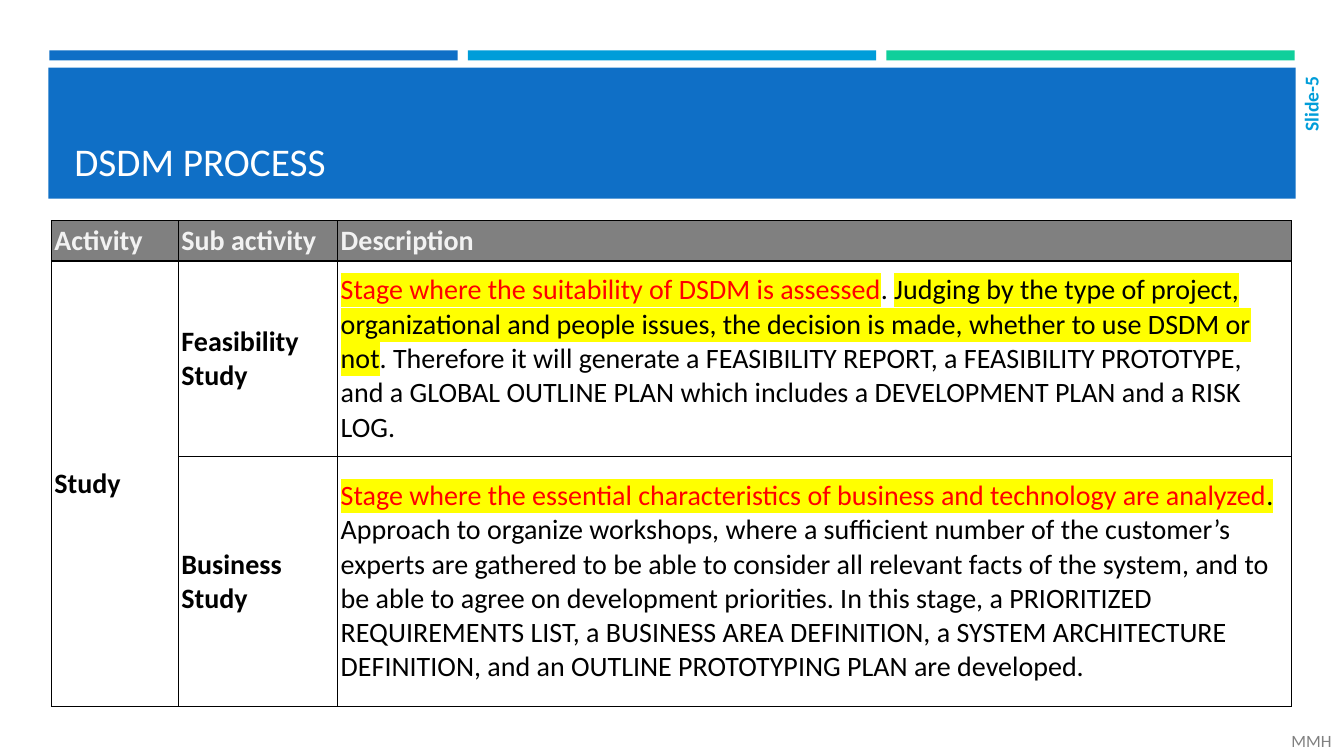
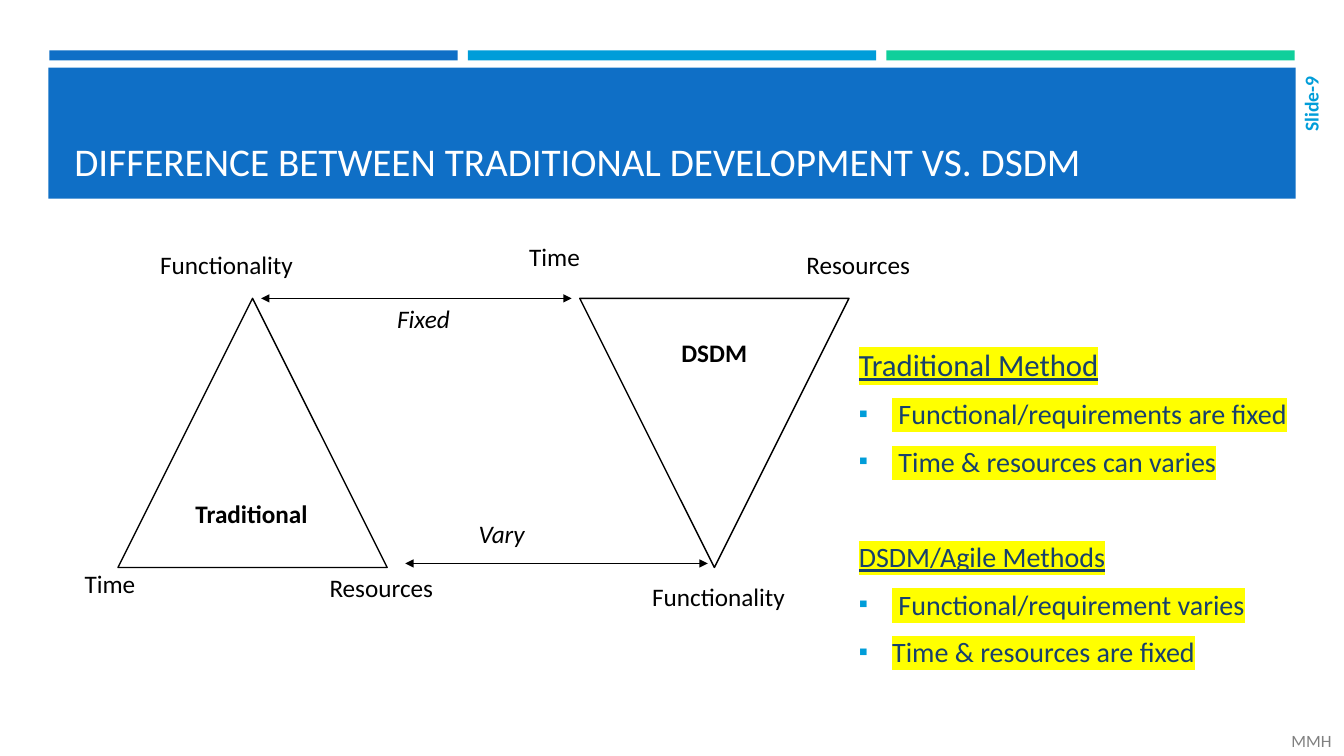
from lxml import etree
from pptx import Presentation
from pptx import util as u
from pptx.dml.color import RGBColor
from pptx.enum import shapes, text
from pptx.oxml import ns

PX = u.Inches(1) // 100
FONT = "Calibri"

BLUE = RGBColor(0x0F, 0x6F, 0xC6)
SKY = RGBColor(0x00, 0x9D, 0xD9)
GREEN = RGBColor(0x10, 0xCF, 0x9B)
NAVY = RGBColor(0x17, 0x40, 0x6D)
WHITE = RGBColor(0xFF, 0xFF, 0xFF)
PALE = RGBColor(0xF2, 0xF2, 0xF2)
GRAY = RGBColor(0x80, 0x80, 0x80)
BLACK = RGBColor(0x00, 0x00, 0x00)
RED = RGBColor(0xFF, 0x00, 0x00)
YELLOW = RGBColor(0xFF, 0xFF, 0x00)

BOLD = {"bold": True}
ITALIC = {"italic": True}
HEAD = {"bold": True, "color": PALE}
PLAIN = {}
MARKED = {"mark": YELLOW}
KEY = {"mark": YELLOW, "color": RED}

FOOTER = "MMH"
STRIPES = [BLUE, SKY, GREEN]

# Each cell is a list of (text, style) runs; None continues the cell above.
TABLE_LEFT, TABLE_TOP = 51, 219
COLUMNS = [126, 158, 946]
ROWS = [40, 194, 248]
PROCESS = [
    [[("Activity", HEAD)], [("Sub activity", HEAD)], [("Description", HEAD)]],
    [
        [("Study", BOLD)],
        [("Feasibility Study", BOLD)],
        [
            ("Stage where the suitability of DSDM is assessed", KEY),
            (". ", PLAIN),
            ("Judging by the type of project, organizational and people issues, "
             "the decision is made, whether to use DSDM or not", MARKED),
            (". Therefore it will generate a FEASIBILITY REPORT, a FEASIBILITY "
             "PROTOTYPE, and a GLOBAL OUTLINE PLAN which includes a DEVELOPMENT "
             "PLAN and a RISK LOG.", PLAIN),
        ],
    ],
    [
        None,
        [("Business Study", BOLD)],
        [
            ("Stage where the essential characteristics of business and "
             "technology are analyzed", KEY),
            (". ", MARKED),
            ("Approach to organize workshops, where a sufficient number of the "
             "customer’s experts are gathered to be able to consider all relevant "
             "facts of the system, and to be able to agree on development "
             "priorities. In this stage, a PRIORITIZED REQUIREMENTS LIST, a "
             "BUSINESS AREA DEFINITION, a SYSTEM ARCHITECTURE DEFINITION, and an "
             "OUTLINE PROTOTYPING PLAN are developed.", PLAIN),
        ],
    ],
]

TRIANGLE_SIZE, TRIANGLE_TOP = 267, 296
TRIANGLES = [(117, 0), (575, 180)]  # left, rotation
ARROWS = [((402, 559), (702, 559)), ((567, 296), (259, 296))]
LABELS = [  # left, top, width, text, style
    (74, 559, 71, "Time", PLAIN),
    (317, 563, 124, "Resources", PLAIN),
    (637, 572, 153, "Functionality", PLAIN),
    (149, 242, 153, "Functionality", PLAIN),
    (515, 234, 71, "Time", PLAIN),
    (790, 242, 124, "Resources", PLAIN),
    (465, 509, 66, "Vary", ITALIC),
    (384, 296, 73, "Fixed", ITALIC),
    (184, 489, 132, "Traditional", BOLD),
    (666, 330, 86, "DSDM", BOLD),
]
METHODS = [  # heading, size, points
    ("Traditional Method", 22,
     [" Functional/requirements are fixed", " Time & resources can varies"]),
    ("DSDM/Agile Methods", 20,
     [" Functional/requirement varies", "Time & resources are fixed"]),
]


def px(*values):
    return [v * PX for v in values]


def sub(parent, tag, **attrs):
    return etree.SubElement(parent, ns.qn(tag), attrs)


def add_run(p, content, size, color=BLACK, mark=None, bold=False, italic=False,
            underline=False):
    r = p.add_run()
    r.text = content
    f = r.font
    f.name, f.size = FONT, u.Pt(size)
    f.bold, f.italic, f.underline = bold, italic, underline
    f.color.rgb = color
    if mark is not None:
        highlight = etree.Element(ns.qn("a:highlight"))
        sub(highlight, "a:srgbClr", val=str(mark))
        r._r.rPr.find(ns.qn("a:solidFill")).addnext(highlight)


def add_text(s, box, content, size, anchor=text.MSO_ANCHOR.TOP, wrap=True, **style):
    tf = s.shapes.add_textbox(*px(*box)).text_frame
    tf.word_wrap = wrap
    tf.vertical_anchor = anchor
    add_run(tf.paragraphs[0], content, size, **style)
    return tf


def add_preset(s, kind, box, fill=None, line=None):
    sp = s.shapes.add_shape(kind, *px(*box))
    sp.shadow.inherit = False
    if fill is None:
        sp.fill.background()
    else:
        sp.fill.solid()
        sp.fill.fore_color.rgb = fill
    if line is None:
        sp.line.fill.background()
    else:
        sp.line.color.rgb = line
        sp.line.width = u.Pt(1)
    return sp


def add_base(prs, title, number):
    """Add a slide with the stripes, title band, slide number and footer."""
    s = prs.slides.add_slide(prs.slide_layouts[6])
    rect = shapes.MSO_SHAPE.RECTANGLE
    for i, color in enumerate(STRIPES):
        add_preset(s, rect, (49 + 415 * i, 50, 405, 10), color)
    add_preset(s, rect, (48, 67, 1237, 130), BLUE)
    add_text(s, (64, 77, 1206, 111), title, 28, text.MSO_ANCHOR.BOTTOM, color=WHITE)
    tf = add_text(s, (1287, 66, 26, 112), f"Slide-{number}", 14,
                  text.MSO_ANCHOR.MIDDLE, color=SKY, bold=True)
    tf._txBody.bodyPr.set("vert", "vert270")
    tf.paragraphs[0].alignment = text.PP_ALIGN.RIGHT
    add_text(s, (1271, 720, 62, 30), FOOTER, 12.3, text.MSO_ANCHOR.MIDDLE,
             wrap=False, color=GRAY)
    return s


def add_borders(cell):
    tcPr = cell._tc.get_or_add_tcPr()
    for i, side in enumerate(("a:lnL", "a:lnR", "a:lnT", "a:lnB")):
        ln = etree.Element(ns.qn(side), w=str(u.Pt(1)))
        sub(sub(ln, "a:solidFill"), "a:srgbClr", val=str(BLACK))
        tcPr.insert(i, ln)


def add_process_table(s):
    frame = s.shapes.add_table(len(ROWS), len(COLUMNS), *px(
        TABLE_LEFT, TABLE_TOP, sum(COLUMNS), sum(ROWS)))
    table = frame.table
    table.first_row = table.horz_banding = False
    for column, width in zip(table.columns, COLUMNS):
        column.width = width * PX
    for row, height in zip(table.rows, ROWS):
        row.height = height * PX
    for i, cells in enumerate(PROCESS):
        for j, runs in enumerate(cells):
            cell = table.cell(i, j)
            cell.margin_left = cell.margin_right = 3 * PX
            cell.margin_top = cell.margin_bottom = 3 * PX
            cell.vertical_anchor = text.MSO_ANCHOR.MIDDLE
            if i == 0:
                cell.fill.solid()
                cell.fill.fore_color.rgb = GRAY
            else:
                cell.fill.background()
            add_borders(cell)
            if runs is None:
                table.cell(i - 1, j).merge(cell)
                continue
            for content, style in runs:
                add_run(cell.text_frame.paragraphs[0], content, 20, **style)


def add_arrow(s, start, end):
    line = s.shapes.add_connector(shapes.MSO_CONNECTOR.STRAIGHT, *px(*start, *end))
    line.line.color.rgb = BLACK
    line.line.width = u.Pt(1)
    ln = line.line._get_or_add_ln()
    sub(ln, "a:headEnd", type="triangle")
    sub(ln, "a:tailEnd", type="triangle")
    sub(line._element.spPr, "a:effectLst")


def add_bullet(p):
    pPr = p._p.get_or_add_pPr()
    pPr.set("marL", str(33 * PX))
    pPr.set("indent", str(-33 * PX))
    sub(sub(pPr, "a:buClr"), "a:srgbClr", val=str(SKY))
    sub(pPr, "a:buSzPct", val="92000")
    sub(pPr, "a:buFont", typeface=FONT)
    sub(pPr, "a:buChar", char="▪")


def add_methods(s):
    tf = s.shapes.add_textbox(*px(842, 338, 447, 340)).text_frame
    tf.word_wrap = True
    for i, (heading, size, points) in enumerate(METHODS):
        p = tf.add_paragraph() if i else tf.paragraphs[0]
        if i:
            p.space_before = u.Pt(38)
        p.space_after = u.Pt(6)
        add_run(p, heading, size, NAVY, YELLOW, underline=True)
        for point in points:
            p = tf.add_paragraph()
            add_bullet(p)
            p.space_before, p.space_after = u.Pt(4), u.Pt(6)
            add_run(p, point, 20, NAVY, YELLOW)


def add_comparison(s):
    for left, rotation in TRIANGLES:
        box = (left, TRIANGLE_TOP, TRIANGLE_SIZE, TRIANGLE_SIZE)
        sp = add_preset(s, shapes.MSO_SHAPE.ISOSCELES_TRIANGLE, box, line=BLACK)
        sp.rotation = rotation
    for start, end in ARROWS:
        add_arrow(s, start, end)
    for left, top, width, content, style in LABELS:
        add_text(s, (left, top, width, 40), content, 18, wrap=False, **style)
    add_methods(s)


def main():
    prs = Presentation()
    prs.slide_width, prs.slide_height = px(1333, 750)
    add_process_table(add_base(prs, "DSDM PROCESS", 5))
    add_comparison(add_base(
        prs, "DIFFERENCE BETWEEN TRADITIONAL DEVELOPMENT VS. DSDM", 9))
    prs.save("out.pptx")


if __name__ == "__main__":
    main()
